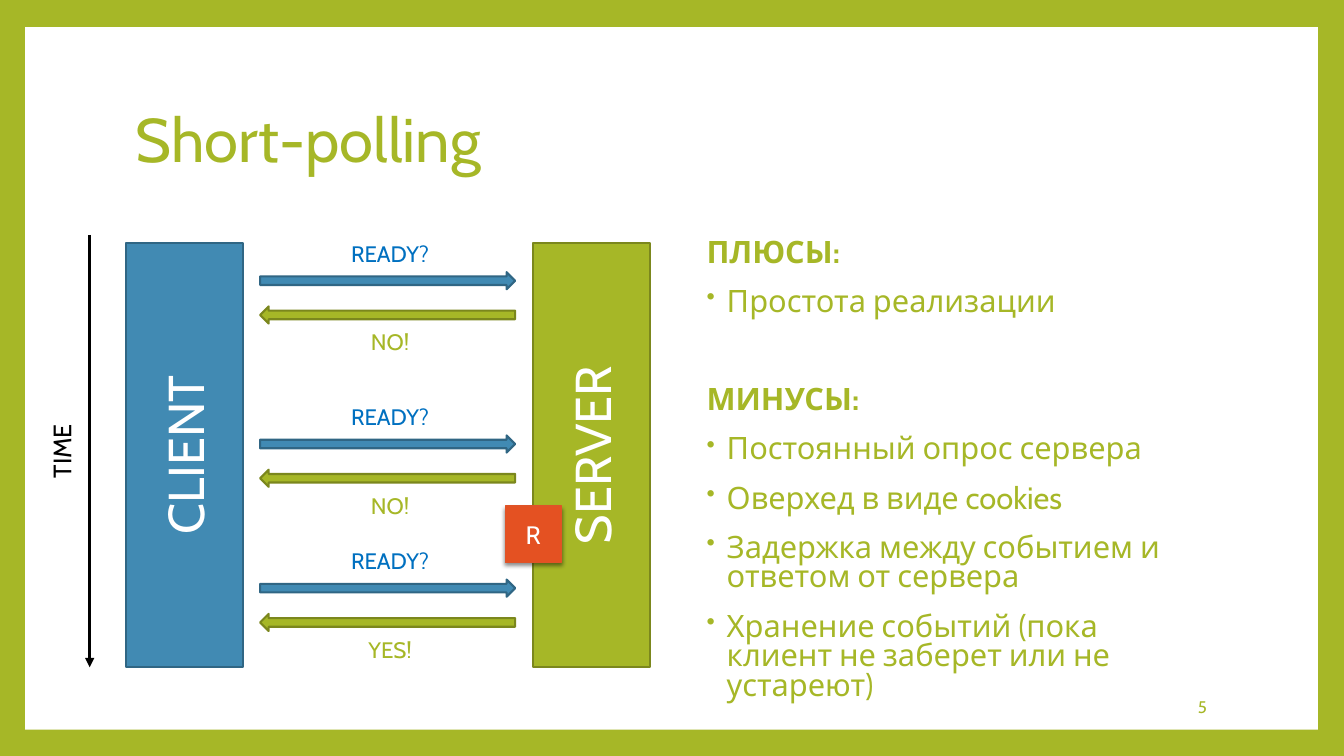
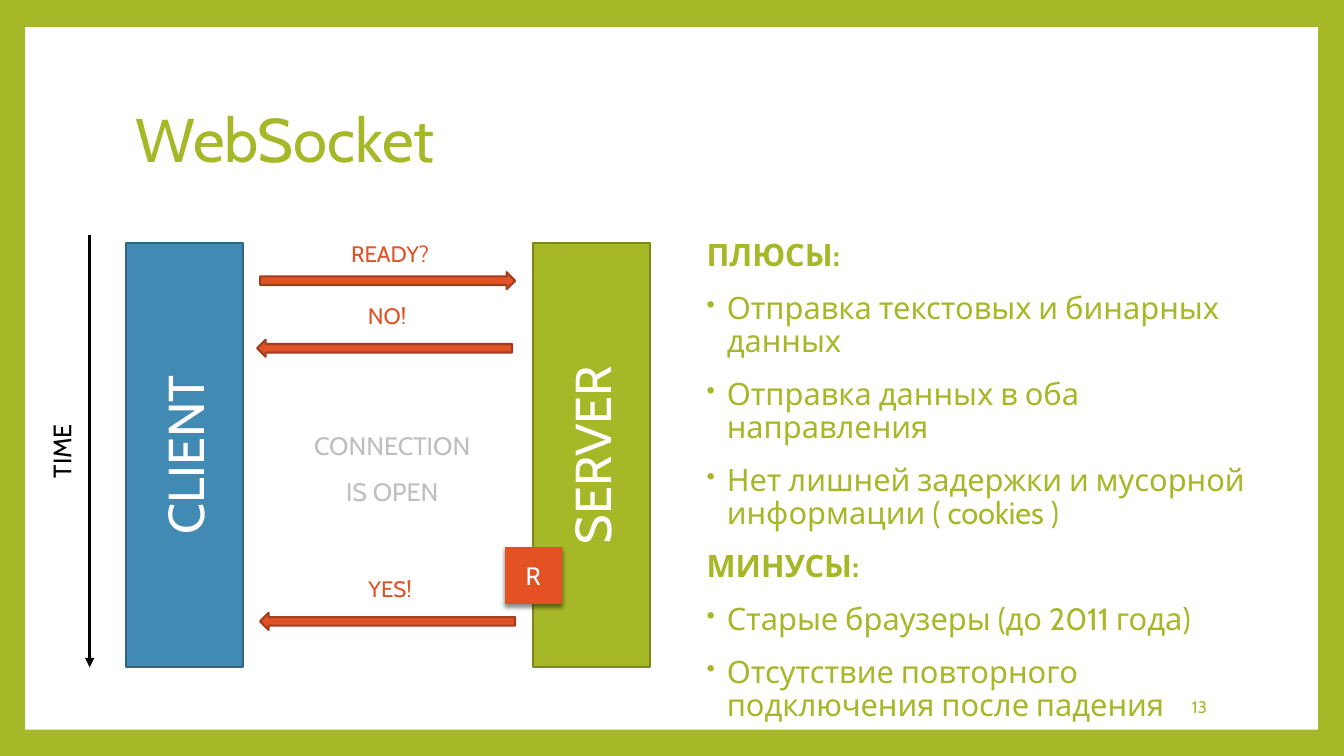
import lxml.etree
import pptx
import pptx.dml.color
import pptx.enum.shapes
import pptx.enum.text
import pptx.oxml
import pptx.oxml.ns
import pptx.util

PX = 9144  # 100 px to the inch
FONT = "Cabin"
GREEN, BLUE, RED, WHITE, BLACK = "A6B727", "418AB3", "DF5327", "FFFFFF", "000000"
DARK = {GREEN: "7B871D", BLUE: "306684", RED: "A53D1D"}
Presets = pptx.enum.shapes.MSO_SHAPE
Align = pptx.enum.text.PP_ALIGN
Anchor = pptx.enum.text.MSO_ANCHOR
rgb = pptx.dml.color.RGBColor.from_string
qn = pptx.oxml.ns.qn


def draw(slide, preset, box, fill, outline=None, width=1.5):
    """Add a flat preset shape; box is left, top, width, height in px."""
    shape = slide.shapes.add_shape(preset, *[v * PX for v in box])
    shape.shadow.inherit = False
    shape.fill.solid()
    shape.fill.fore_color.rgb = rgb(fill)
    if outline:
        shape.line.color.rgb = rgb(outline)
        shape.line.width = pptx.util.Pt(width)
    else:
        shape.line.fill.background()
    return shape


def write(shape, text, size, color, align=Align.LEFT, anchor=Anchor.TOP,
          spacing=1.0, before=0, indent=0, upward=False):
    """Write one paragraph per line of text."""
    frame = shape.text_frame
    frame.word_wrap = True
    frame.vertical_anchor = anchor
    frame.text = text
    if upward:
        frame._txBody.bodyPr.set("vert", "vert270")
    for number, paragraph in enumerate(frame.paragraphs):
        paragraph.alignment = align
        paragraph.line_spacing = spacing
        paragraph.space_before = pptx.util.Pt(before if number else 0)
        paragraph._p.get_or_add_pPr().set("marL", str(indent * PX))
        paragraph.font.name = FONT
        paragraph.font.size = pptx.util.Pt(size)
        paragraph.font.color.rgb = rgb(color)


# Messages: text, text colour, label top, arrow preset, arrow left, arrow top, arrow colour
polling_messages = []
for top, answer in ((233, "NO!"), (395, "NO!"), (538, "YES!")):
    polling_messages += [
        ("READY?", "0070C0", top, Presets.RIGHT_ARROW, 258, top + 37, BLUE),
        (answer, GREEN, top + 88, Presets.LEFT_ARROW, 258, top + 71, GREEN),
    ]
socket_messages = [
    ("READY?", RED, 233, Presets.RIGHT_ARROW, 258, 270, RED),
    ("NO!", RED, 295, Presets.LEFT_ARROW, 255, 337, RED),
    ("YES!", RED, 566, Presets.LEFT_ARROW, 258, 608, RED),
]

slides = [
    {
        "title": "Short-polling", "number": "5", "messages": polling_messages,
        "event_top": 502, "note": "",
        "points_box": (686, 233, 520, 450), "spacing": 0.8, "cons_gap": 49,
        "pros": ["Простота реализации"],
        "cons": [
            "Постоянный опрос сервера",
            "Оверхед в виде cookies",
            "Задержка между событием и ответом от сервера",
            "Хранение событий (пока клиент не заберет или не устареют)",
        ],
    },
    {
        "title": "WebSocket", "number": "13", "messages": socket_messages,
        "event_top": 543, "note": "CONNECTION\nIS OPEN",
        "points_box": (686, 233, 559, 473), "spacing": 0.9, "cons_gap": 14,
        "pros": [
            "Отправка текстовых и бинарных данных",
            "Отправка данных в оба направления",
            "Нет лишней задержки и мусорной информации ( cookies )",
        ],
        "cons": [
            "Старые браузеры (до 2011 года)",
            "Отсутствие повторного подключения после падения",
        ],
    },
]

deck = pptx.Presentation()
deck.slide_width, deck.slide_height = 1333 * PX, 750 * PX

for content in slides:
    slide = deck.slides.add_slide(deck.slide_layouts[6])

    # Green frame, white page, title and slide number
    slide.background.fill.solid()
    slide.background.fill.fore_color.rgb = rgb(GREEN)
    draw(slide, Presets.RECTANGLE, (25, 27, 1282, 697), WHITE)
    title = slide.shapes.add_textbox(125 * PX, 67 * PX, 1080 * PX, 148 * PX)
    write(title, content["title"], 44, GREEN, anchor=Anchor.MIDDLE, spacing=0.9)
    number = slide.shapes.add_textbox(1020 * PX, 681 * PX, 187 * PX, 40 * PX)
    write(number, content["number"], 12, GREEN, Align.RIGHT, Anchor.MIDDLE)

    # Client and server
    for party, left, color in (("CLIENT", 125, BLUE), ("SERVER", 529, GREEN)):
        bar = draw(slide, Presets.RECTANGLE, (left, 241, 116, 421), color, DARK[color])
        write(bar, party, 36, WHITE, Align.CENTER, Anchor.MIDDLE, upward=True)

    # Messages between them
    for text, color, label_top, preset, left, arrow_top, arrow_color in content["messages"]:
        draw(slide, preset, (left, arrow_top, 253, 17), arrow_color, DARK[arrow_color])
        label = slide.shapes.add_textbox(left * PX, label_top * PX, 253 * PX, 37 * PX)
        write(label, text, 16, color, Align.CENTER, indent=5)
    if content["note"]:
        note = slide.shapes.add_textbox(295 * PX, 425 * PX, 183 * PX, 89 * PX)
        write(note, content["note"], 18, "BFBFBF", Align.CENTER,
              spacing=0.9, before=14, indent=5)

    # Event on the server, with a soft shadow
    event = draw(slide, Presets.RECTANGLE, (501, content["event_top"], 56, 56),
                 "E45122", RED, 0.79)
    write(event, "R", 18, WHITE, Align.CENTER, Anchor.MIDDLE)
    effects = event._element.spPr.find(qn("a:effectLst"))
    shadow = lxml.etree.SubElement(effects, qn("a:outerShdw"), blurRad="38100",
                                   dist="25400", dir="5400000", rotWithShape="0")
    shade = lxml.etree.SubElement(shadow, qn("a:srgbClr"), val=BLACK)
    lxml.etree.SubElement(shade, qn("a:alpha"), val="45000")

    # Time axis
    axis = slide.shapes.add_connector(pptx.enum.shapes.MSO_CONNECTOR.STRAIGHT,
                                      89 * PX, 233 * PX, 89 * PX, 662 * PX)
    axis.line.color.rgb = rgb(BLACK)
    axis.line.width = pptx.util.Pt(2.25)
    lxml.etree.SubElement(axis.line._get_or_add_ln(), qn("a:tailEnd"), type="triangle")
    lxml.etree.SubElement(axis._element.spPr, qn("a:effectLst"))
    time = slide.shapes.add_textbox(41 * PX, 233 * PX, 50 * PX, 429 * PX)
    write(time, "TIME", 18, BLACK, Align.CENTER, upward=True)

    # Pros and cons
    headings = ("ПЛЮСЫ:", "МИНУСЫ:")
    lines = [headings[0], *content["pros"], headings[1], *content["cons"]]
    points = slide.shapes.add_textbox(*[v * PX for v in content["points_box"]])
    points.text_frame.text = "\n".join(lines)
    for paragraph in points.text_frame.paragraphs:
        if paragraph.text in headings:
            continue
        properties = paragraph._p.get_or_add_pPr()
        bullet_color = lxml.etree.SubElement(properties, qn("a:buClr"))
        lxml.etree.SubElement(bullet_color, qn("a:srgbClr"), val=GREEN)
        lxml.etree.SubElement(properties, qn("a:buSzPct"), val="80000")
        lxml.etree.SubElement(properties, qn("a:buChar"), char="•")
    points.text_frame.word_wrap = True
    for paragraph in points.text_frame.paragraphs:
        heading = paragraph.text in headings
        properties = paragraph._p.get_or_add_pPr()
        properties.set("marL", str((5 if heading else 25) * PX))
        properties.set("indent", str((0 if heading else -20) * PX))
        gaps = {headings[0]: 0, headings[1]: content["cons_gap"]}
        paragraph.space_before = pptx.util.Pt(gaps.get(paragraph.text, 14))
        paragraph.line_spacing = content["spacing"]
        paragraph.font.name = FONT
        paragraph.font.size = pptx.util.Pt(22)
        paragraph.font.bold = heading
        paragraph.font.color.rgb = rgb(GREEN)

deck.save("out.pptx")
